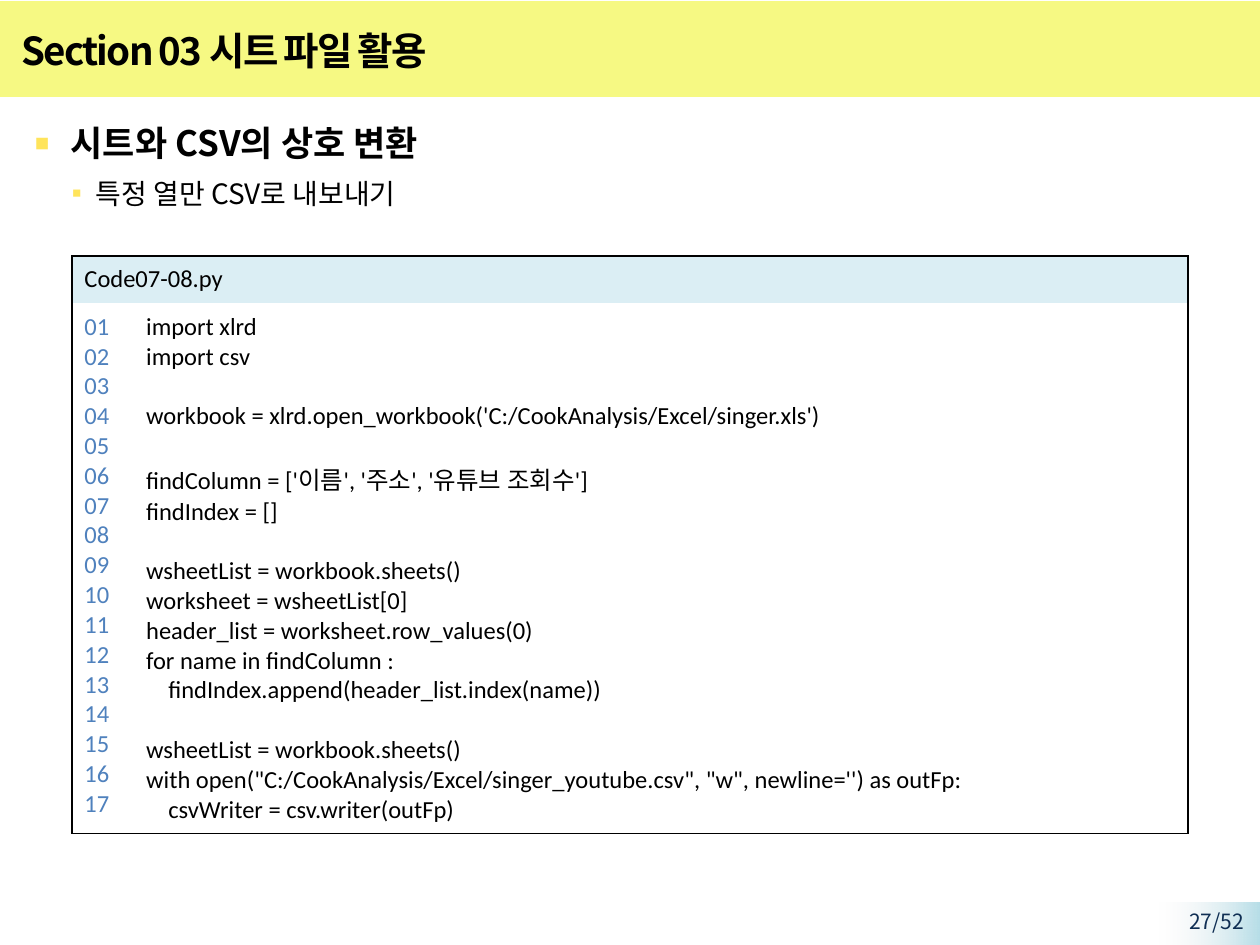
from lxml import etree
from pptx import Presentation
from pptx import util as u
from pptx.dml.color import RGBColor
from pptx.enum import shapes, text
from pptx.oxml.ns import qn

KOREAN = "Noto Sans CJK KR"
LATIN = "Calibri"
BLACK = "000000"

CODE = """import xlrd
import csv

workbook = xlrd.open_workbook('C:/CookAnalysis/Excel/singer.xls')

findColumn = ['이름', '주소', '유튜브 조회수']
findIndex = []

wsheetList = workbook.sheets()
worksheet = wsheetList[0]
header_list = worksheet.row_values(0)
for name in findColumn :
    findIndex.append(header_list.index(name))

wsheetList = workbook.sheets()
with open("C:/CookAnalysis/Excel/singer_youtube.csv", "w", newline='') as outFp:
    csvWriter = csv.writer(outFp)""".split("\n")


def color(value):
    return RGBColor.from_string(value)


def set_all(obj, values):
    for name, value in values.items():
        setattr(obj, name, value)


def place(sp, box):
    set_all(sp, dict(zip(("left", "top", "width", "height"), map(u.Inches, box))))


def sub(parent, tag, **attrs):
    return etree.SubElement(parent, qn(tag), attrs)


def style(font, size, name, rgb, bold=False):
    set_all(font, {"size": u.Pt(size), "name": name, "bold": bold})
    font.color.rgb = color(rgb)


def add_run(p, content, *look):
    r = p.add_run()
    r.text = content
    style(r.font, *look)
    sub(r.font._element, "a:ea", typeface=KOREAN)
    return r


def add_rect(s, box):
    sp = s.shapes.add_shape(shapes.MSO_SHAPE.RECTANGLE, *map(u.Inches, box))
    sp.shadow.inherit = False
    sp.line.fill.background()
    return sp


def add_header(s, box):
    band = add_rect(s, box)
    band.fill.solid()
    band.fill.fore_color.rgb = color("F6F983")
    s.shapes._spTree.remove(band._element)
    s.shapes._spTree.insert(2, band._element)
    title = s.shapes.title
    place(title, (box[0] + 0.07, box[1] + 0.13, 8.51, 0.52))
    tf = title.text_frame
    set_all(tf, {"vertical_anchor": text.MSO_ANCHOR.MIDDLE, "word_wrap": True,
                 "auto_size": text.MSO_AUTO_SIZE.NONE})
    p = tf.paragraphs[0]
    p.alignment = text.PP_ALIGN.LEFT
    r = add_run(p, "Section 03 시트 파일 활용", 22, KOREAN, BLACK, True)
    r.font._element.set("spc", "-100")


def add_body(s, box):
    body = s.placeholders[1]
    place(body, box)
    tf = body.text_frame
    tf.auto_size = text.MSO_AUTO_SIZE.NONE
    items = (
        ("시트와 CSV의 상호 변환", 20, True, 0.39, -0.29, 130, 0),
        ("특정 열만 CSV로 내보내기", 16, False, 0.59, -0.19, 100, 3.2),
    )
    for level, (content, size, bold, margin, indent, bullet, before) in enumerate(items):
        p = tf.add_paragraph() if level else tf.paragraphs[0]
        set_all(p, {"level": level, "line_spacing": 1.2, "space_before": u.Pt(before)})
        pPr = p._p.get_or_add_pPr()
        pPr.set("marL", str(u.Inches(margin)))
        pPr.set("indent", str(u.Inches(indent)))
        sub(sub(pPr, "a:buClr"), "a:srgbClr", val="FFE45B")
        sub(pPr, "a:buSzPct", val=str(bullet * 1000))
        sub(pPr, "a:buFont", typeface=LATIN)
        sub(pPr, "a:buChar", char="▪")
        add_run(p, content, size, KOREAN, BLACK, bold)


def set_borders(cell, sides):
    tcPr = cell._tc.get_or_add_tcPr()
    for side in "LRTB":
        ln = sub(tcPr, "a:ln" + side, w=str(u.Pt(1)))
        if side in sides:
            sub(sub(ln, "a:solidFill"), "a:srgbClr", val=BLACK)
        else:
            sub(ln, "a:noFill")


def fill_cell(cell, lines, rgb, fill=None):
    set_all(cell, {"margin_left": u.Inches(0.1), "margin_right": u.Inches(0.1),
                   "margin_top": u.Inches(0.07), "margin_bottom": u.Inches(0.07)})
    if fill:
        cell.fill.solid()
        cell.fill.fore_color.rgb = color(fill)
    else:
        cell.fill.background()
    tf = cell.text_frame
    for i, line in enumerate(lines):
        p = tf.add_paragraph() if i else tf.paragraphs[0]
        if line:
            add_run(p, line, 14, LATIN, rgb)
        else:
            sub(p._p, "a:endParaRPr", sz="1400")


def add_code(s, box):
    table = s.shapes.add_table(2, 2, *map(u.Inches, box)).table
    set_all(table, {"first_row": False, "horz_banding": False})
    number_width, head_height = 0.49, 0.36
    for column, width in zip(table.columns, (number_width, box[2] - number_width)):
        column.width = u.Inches(width)
    for row, height in zip(table.rows, (head_height, box[3] - head_height)):
        row.height = u.Inches(height)
    head, numbers, code = table.cell(0, 0), table.cell(1, 0), table.cell(1, 1)
    head.merge(table.cell(0, 1))
    for cell, sides in ((head, "LTR"), (table.cell(0, 1), "TR"), (numbers, "LB"), (code, "RB")):
        set_borders(cell, sides)
    fill_cell(head, ["Code07-08.py"], BLACK, "DBEEF4")
    fill_cell(numbers, [f"{n:02}" for n in range(1, len(CODE) + 1)], "4F81BD")
    fill_cell(code, CODE, BLACK)


def add_page_number(s, box):
    left, top, width, height = box
    sp = add_rect(s, box)
    sp.fill.gradient()
    sp.fill.gradient_angle = 180
    for stop, rgb, position in zip(sp.fill.gradient_stops, ("B7DEE8", "F2F2F2"), (0, 1)):
        stop.color.rgb = color(rgb)
        stop.position = position
    last = sp._element.spPr.findall(".//" + qn("a:srgbClr"))[-1]
    sub(last, "a:alpha", val="0")
    label = s.shapes.add_textbox(*map(u.Inches, (left - 0.15, top, width + 0.12, 0.23)))
    tf = label.text_frame
    set_all(tf, {"word_wrap": True, "margin_top": u.Inches(0.05), "margin_bottom": 0})
    p = tf.paragraphs[0]
    p.alignment = text.PP_ALIGN.RIGHT
    add_run(p, "27/52", 12, KOREAN, "0F2E53")


def main():
    prs = Presentation()
    prs.slide_width, prs.slide_height = u.Inches(10), u.Inches(7.5)
    s = prs.slides.add_slide(prs.slide_layouts[1])
    add_header(s, (0, 0.01, 10, 0.76))
    add_body(s, (0.07, 0.85, 9.8, 6.2))
    add_code(s, (0.57, 2.03, 8.86, 4.48))
    add_page_number(s, (9.2, 7.16, 0.8, 0.34))
    prs.save("out.pptx")


if __name__ == "__main__":
    main()
